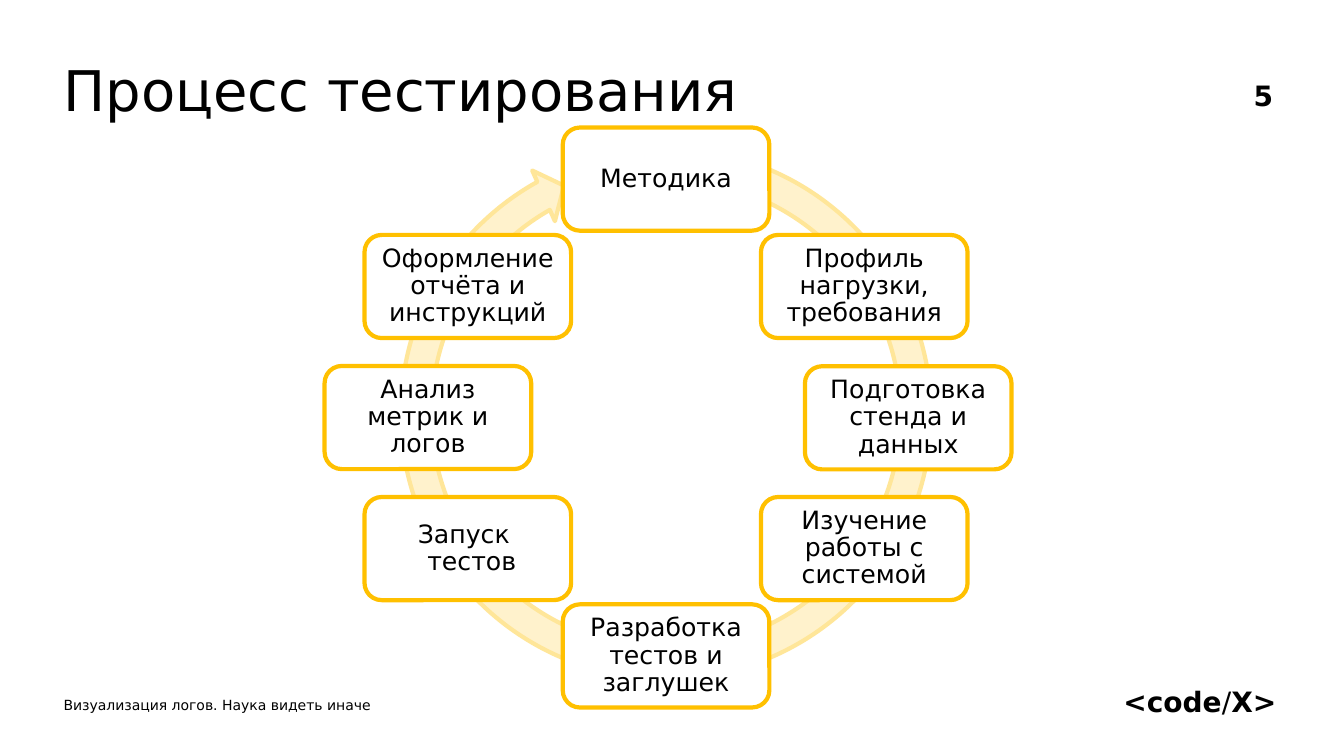
from pptx import Presentation
from pptx import util as u
from pptx.dml import color
from pptx.enum import shapes, text

FONT = "DejaVu Sans"
COLORS = {
    "text": "000000",
    "node": "FFFFFF",
    "node_line": "FFC000",
    "ring": "FFF2CC",
    "ring_line": "FFE699",
}
NODE_WIDTH, NODE_HEIGHT = 147.6, 73.7
# Label and offset of each node's centre from the centre of the cycle
STEPS = [
    ("Методика", 0, -170.3),
    ("Профиль нагрузки, требования", 141.6, -93.6),
    ("Подготовка стенда и данных", 173, 0.2),
    ("Изучение работы с системой", 141.6, 93.6),
    ("Разработка тестов и заглушек", 0, 170.3),
    ("Запуск \v тестов", -141.6, 93.6),
    ("Анализ метрик и логов", -170.1, 0),
    ("Оформление отчёта и инструкций", -141.6, -93.6),
]


def rgb(name):
    return color.RGBColor.from_string(COLORS[name])


def place(shape, box):
    for name, value in zip(("left", "top", "width", "height"), box):
        setattr(shape, name, u.Pt(value))


def format_text(shape, size, margin=0, bold=False, spacing=None,
                align=text.PP_ALIGN.LEFT, anchor=text.MSO_ANCHOR.MIDDLE):
    frame = shape.text_frame
    frame_format = {"word_wrap": True, "vertical_anchor": anchor,
                    "auto_size": text.MSO_AUTO_SIZE.NONE}
    for side in ("left", "top", "right", "bottom"):
        frame_format["margin_" + side] = u.Pt(margin)
    for name, value in frame_format.items():
        setattr(frame, name, value)
    paragraph = frame.paragraphs[0]
    paragraph.alignment = align
    paragraph.line_spacing = spacing
    for run in paragraph.runs:
        for name, value in {"name": FONT, "size": u.Pt(size), "bold": bold}.items():
            setattr(run.font, name, value)
        run.font.color.rgb = rgb("text")


def add_outlined(slide, kind, box, fill, line):
    shape = slide.shapes.add_shape(kind, *map(u.Pt, box))
    shape.shadow.inherit = False
    shape.fill.solid()
    shape.fill.fore_color.rgb = rgb(fill)
    shape.line.color.rgb = rgb(line)
    shape.line.width = u.Pt(3)
    return shape


def add_label(slide, box, runs, size, **text_format):
    label = slide.shapes.add_textbox(*map(u.Pt, box))
    for words in runs:
        label.text_frame.paragraphs[0].add_run().text = words
    format_text(label, size, **text_format)
    return label


def add_header(slide, box):
    left, top, width, height = box
    title = slide.shapes.title
    place(title, (left, top, 810.7, height))
    title.text = "Процесс тестирования"
    format_text(title, 40, spacing=0.9, anchor=text.MSO_ANCHOR.TOP)
    # Slide number at the right edge
    add_label(slide, (left + width - 67.7, top, 67.7, height), ["5"], 20,
              bold=True, align=text.PP_ALIGN.RIGHT)


def add_cycle(slide, box):
    left, top, width, height = box
    # Ring with arrowhead
    ring = add_outlined(slide, shapes.MSO_SHAPE.CIRCULAR_ARROW, box, "ring", "ring_line")
    ring.rotation = 357
    for index, value in enumerate((0.055, 3.142, 146.204, 176.232, 0.05)):
        ring.adjustments[index] = value
    # Steps around the ring
    center_x, center_y = left + width / 2, top + height / 2 + 2.7
    for words, x, y in STEPS:
        node_box = (center_x + x - NODE_WIDTH / 2, center_y + y - NODE_HEIGHT / 2,
                    NODE_WIDTH, NODE_HEIGHT)
        node = add_outlined(slide, shapes.MSO_SHAPE.ROUNDED_RECTANGLE, node_box,
                            "node", "node_line")
        node.text_frame.text = words
        format_text(node, 18, margin=2.2, spacing=0.9, align=text.PP_ALIGN.CENTER)


def add_footer(slide, box):
    left, top, width, height = box
    add_label(slide, (left, top + 10.8, 391, 14.4),
              ["Визуализация логов. Наука видеть иначе"], 10)
    # Event name with a light slash
    event = add_label(slide, (left + width - 135.4, top, 135.4, height),
                      ["<code", "/", "X>"], 20, bold=True,
                      align=text.PP_ALIGN.RIGHT, anchor=text.MSO_ANCHOR.TOP)
    frame = event.text_frame
    frame.margin_left = frame.margin_right = u.Pt(7.2)
    frame.margin_top = frame.margin_bottom = u.Pt(3.6)
    frame.paragraphs[0].runs[1].font.bold = False


def main():
    presentation = Presentation()
    presentation.slide_width, presentation.slide_height = u.Pt(960), u.Pt(540)
    slide = presentation.slides.add_slide(presentation.slide_layouts[5])
    add_cycle(slide, (277.4, 97.2, 396.7, 396.7))
    add_header(slide, (45.4, 45.4, 864, 45.4))
    add_footer(slide, (45.4, 485.3, 873.4, 31.7))
    presentation.save("out.pptx")


if __name__ == "__main__":
    main()
